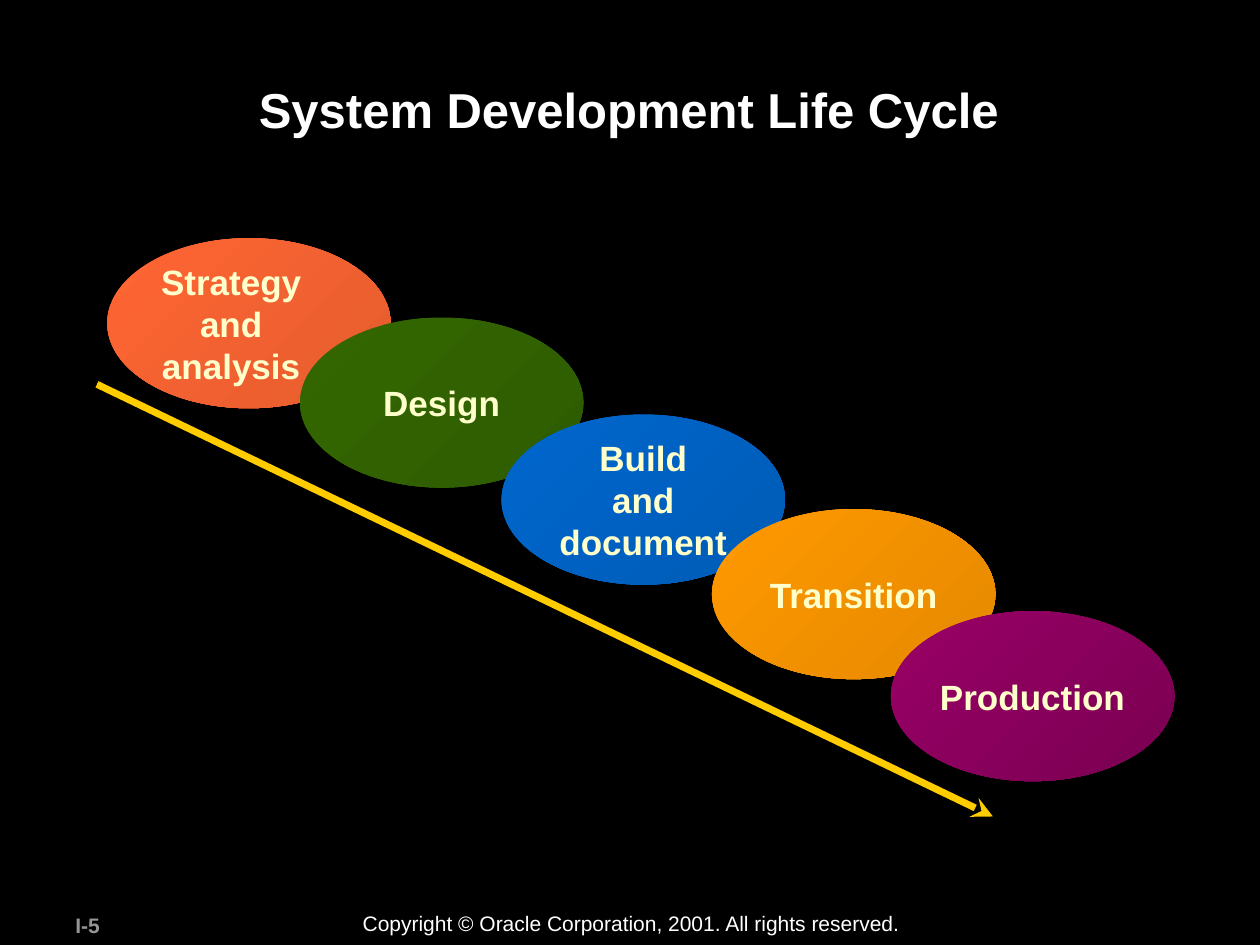
from dataclasses import dataclass

import pptx
import pptx.dml.color
import pptx.enum.shapes
import pptx.enum.text
import pptx.oxml.ns
import pptx.shapes.connector
import pptx.slide
import pptx.util
from lxml import etree

Inches = pptx.util.Inches
RGBColor = pptx.dml.color.RGBColor
Align = pptx.enum.text.PP_ALIGN
Anchor = pptx.enum.text.MSO_ANCHOR

BLACK = RGBColor(0x00, 0x00, 0x00)
WHITE = RGBColor(0xFF, 0xFF, 0xFF)
GRAY = RGBColor(0x96, 0x96, 0x96)
CREAM = RGBColor(0xFF, 0xFF, 0xCC)
GOLD = RGBColor(0xFF, 0xCC, 0x00)
CORAL = RGBColor(0xFF, 0x66, 0x33)
DARK_CORAL = RGBColor(0xE5, 0x5C, 0x2E)
GREEN = RGBColor(0x33, 0x66, 0x00)
DARK_GREEN = RGBColor(0x2E, 0x5C, 0x00)
BLUE = RGBColor(0x00, 0x66, 0xCC)
DARK_BLUE = RGBColor(0x00, 0x5C, 0xB7)
ORANGE = RGBColor(0xFF, 0x99, 0x00)
DARK_ORANGE = RGBColor(0xE5, 0x89, 0x00)
PURPLE = RGBColor(0x99, 0x00, 0x66)
DARK_PURPLE = RGBColor(0x7A, 0x00, 0x52)

STAGE_WIDTH, STAGE_HEIGHT = 2.25, 1.35


@dataclass(frozen=True)
class Label:
    lines: tuple[str, ...]
    left: float
    top: float
    width: float
    height: float
    size: int
    color: RGBColor
    bold: bool = True
    alignment: Align = Align.CENTER
    anchor: Anchor = Anchor.TOP
    wrap: bool = True


@dataclass(frozen=True)
class Stage:
    lines: tuple[str, ...]
    left: float
    top: float
    start_color: RGBColor
    end_color: RGBColor
    text_width: float
    text_height: float = 0.43
    text_shift: float = 0


LABELS = (
    Label(("I-5",), 0.5, 7.19, 1.05, 0.3, 12, GRAY, alignment=Align.LEFT),
    Label(("Copyright © Oracle Corporation, 2001. All rights reserved.",),
          2.78, 7.18, 4.48, 0.3, 12, WHITE, bold=False, alignment=Align.LEFT, wrap=False),
    Label(("System Development Life Cycle",), 0.94, 0.58, 8.1, 0.96, 28, WHITE),
)

STAGES = (
    Stage(("Strategy", "and", "analysis"), 0.85, 1.89, CORAL, DARK_CORAL, 2.53, 1.45, -0.14),
    Stage(("Design",), 2.38, 2.52, GREEN, DARK_GREEN, 1.4),
    Stage(("Build", "and", "document"), 3.98, 3.29, BLUE, DARK_BLUE, 1.99, 1.1),
    Stage(("Transition",), 5.65, 4.04, ORANGE, DARK_ORANGE, 1.61),
    Stage(("Production",), 7.07, 4.85, PURPLE, DARK_PURPLE, 1.86),
)


def add_label(shapes, label: Label) -> None:
    box = shapes.add_textbox(Inches(label.left), Inches(label.top),
                             Inches(label.width), Inches(label.height))
    frame = box.text_frame
    frame.word_wrap = label.wrap
    frame.vertical_anchor = label.anchor
    font_format = {"name": "Arial", "size": pptx.util.Pt(label.size), "bold": label.bold}
    frame.text = "\n".join(label.lines)
    for paragraph in frame.paragraphs:
        paragraph.alignment = label.alignment
        font = paragraph.runs[0].font
        for name, value in font_format.items():
            setattr(font, name, value)
        font.color.rgb = label.color


def add_stage(slide: pptx.slide.Slide, stage: Stage) -> None:
    group = slide.shapes.add_group_shape()
    ellipse = group.shapes.add_shape(
        pptx.enum.shapes.MSO_SHAPE.OVAL, Inches(stage.left), Inches(stage.top),
        Inches(STAGE_WIDTH), Inches(STAGE_HEIGHT))
    ellipse.shadow.inherit = False
    ellipse.line.fill.background()
    ellipse.fill.gradient()
    ellipse.fill.gradient_angle = 315
    colors = (stage.start_color, stage.end_color)
    for stop, position, color in zip(ellipse.fill.gradient_stops, (0, 1), colors):
        stop.position = position
        stop.color.rgb = color
    text_left = stage.left + (STAGE_WIDTH - stage.text_width) / 2 + stage.text_shift
    text_top = stage.top + (STAGE_HEIGHT - stage.text_height) / 2
    add_label(group.shapes, Label(
        stage.lines, text_left, text_top, stage.text_width, stage.text_height,
        20, CREAM, anchor=Anchor.MIDDLE, wrap=False))


def add_progress_arrow(slide: pptx.slide.Slide) -> pptx.shapes.connector.Connector:
    arrow = slide.shapes.add_connector(
        pptx.enum.shapes.MSO_CONNECTOR.STRAIGHT,
        Inches(0.77), Inches(3.05), Inches(7.88), Inches(6.48))
    arrow.line.width = pptx.util.Pt(4)
    arrow.line.color.rgb = GOLD
    qualified_name = pptx.oxml.ns.qn
    properties = arrow.element.spPr
    line = properties.find(qualified_name("a:ln"))
    etree.SubElement(line, qualified_name("a:tailEnd"), type="stealth")
    etree.SubElement(properties, qualified_name("a:effectLst"))
    return arrow


def main() -> None:
    presentation = pptx.Presentation()
    presentation.slide_width = Inches(10)
    presentation.slide_height = Inches(7.5)
    slide = presentation.slides.add_slide(presentation.slide_layouts[6])
    slide.background.fill.solid()
    slide.background.fill.fore_color.rgb = BLACK
    for label in LABELS:
        add_label(slide.shapes, label)
    for stage in STAGES:
        add_stage(slide, stage)
    add_progress_arrow(slide)
    presentation.save("out.pptx")


if __name__ == "__main__":
    main()
